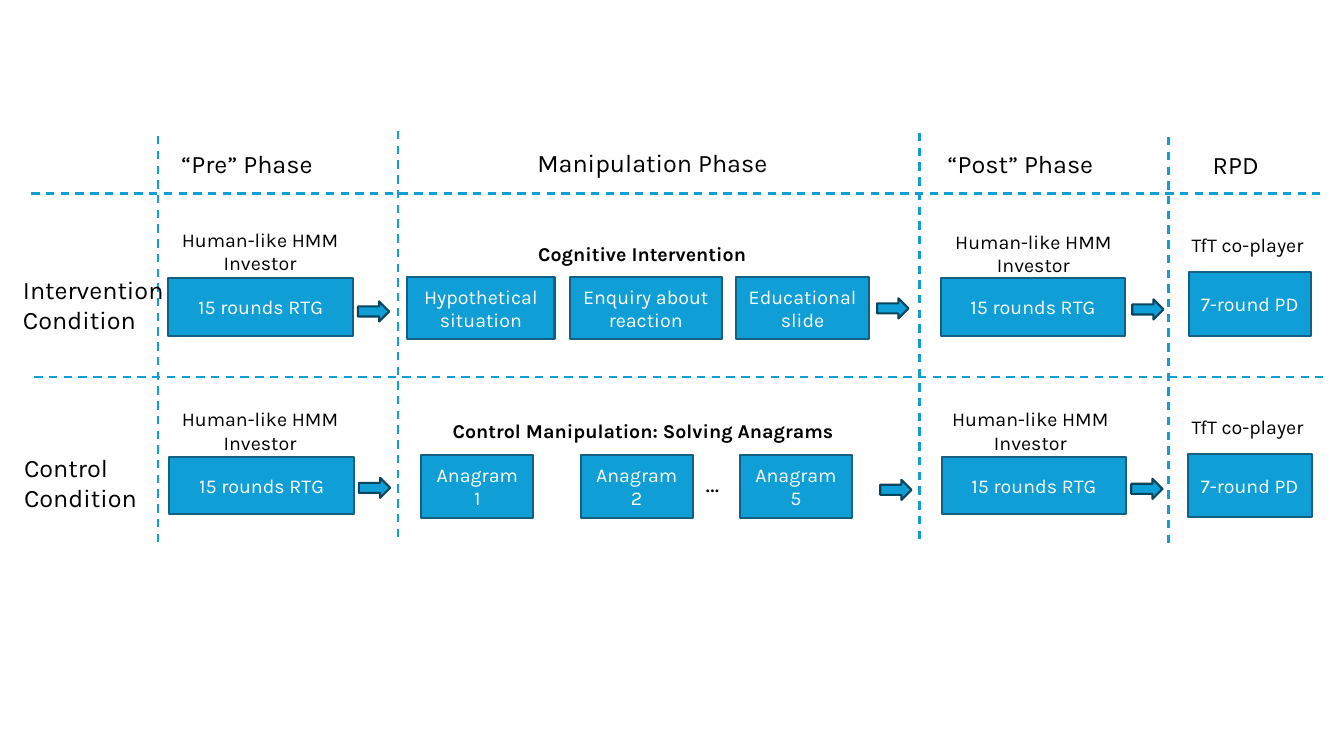
from pptx import Presentation
from pptx import util as u
from pptx.dml.color import RGBColor
from pptx.enum import dml, shapes, text
from pptx.oxml.ns import qn
from lxml import etree

FONT = "Karla"
BLUE, BOX_EDGE, ARROW_EDGE = "0F9ED5", "156082", "07455D"
BLACK, WHITE = "000000", "FFFFFF"
LEFT, CENTER = text.PP_ALIGN.LEFT, text.PP_ALIGN.CENTER


def color(value):
    return RGBColor.from_string(value)


def write(shape, words, size=14, fill=BLACK, bold=False, align=CENTER):
    shape.text_frame.word_wrap = True
    paragraph = shape.text_frame.paragraphs[0]
    paragraph.alignment = align
    run = paragraph.add_run()
    run.text = words
    run.font.name = FONT
    run.font.size = u.Pt(size)
    run.font.bold = bold
    run.font.color.rgb = color(fill)


def add_label(slide, words, left, top, width, height, **text_format):
    label = slide.shapes.add_textbox(*map(u.Inches, (left, top, width, height)))
    write(label, words, **text_format)
    label.text_frame.auto_size = text.MSO_AUTO_SIZE.SHAPE_TO_FIT_TEXT


def add_filled(slide, kind, edge, left, top, width, height):
    shape = slide.shapes.add_shape(kind, *map(u.Inches, (left, top, width, height)))
    shape.shadow.inherit = False
    shape.fill.solid()
    shape.fill.fore_color.rgb = color(BLUE)
    shape.line.color.rgb = color(edge)
    shape.line.width = u.Pt(1.5)
    return shape


def add_box(slide, words, left, top, width, height):
    box = add_filled(slide, shapes.MSO_SHAPE.RECTANGLE, BOX_EDGE, left, top, width, height)
    box.text_frame.vertical_anchor = text.MSO_ANCHOR.MIDDLE
    write(box, words, fill=WHITE)


def add_arrow(slide, left, top):
    add_filled(slide, shapes.MSO_SHAPE.RIGHT_ARROW, ARROW_EDGE, left, top, 0.31, 0.2)


def add_divider(slide, left, top, right, bottom):
    line = slide.shapes.add_connector(
        shapes.MSO_CONNECTOR.STRAIGHT, *map(u.Inches, (left, top, right, bottom)))
    line.line.color.rgb = color(BLUE)
    line.line.width = u.Pt(1.5)
    line.line.dash_style = dml.MSO_LINE.DASH
    etree.SubElement(line._element.spPr, qn("a:effectLst"))


def add_dividers(slide):
    for left, top in ((0.31, 1.92), (0.34, 3.74)):
        add_divider(slide, left, top, left + 12.78, top)
    for left, top, bottom in ((1.57, 1.35, 5.39), (3.95, 1.3, 5.33),
                              (9.12, 1.32, 5.35), (11.59, 1.36, 5.39)):
        add_divider(slide, left, top, left, bottom)


def add_phase_headings(slide):
    add_label(slide, "“Pre” Phase", 1.7, 1.42, 1.89, 0.4, size=18, align=LEFT)
    add_label(slide, "Manipulation Phase ", 4.49, 1.41, 4.02, 0.41, size=18)
    add_label(slide, "“Post” Phase", 9.3, 1.42, 1.89, 0.4, size=18, align=LEFT)
    add_label(slide, "RPD", 11.93, 1.43, 0.93, 0.4, size=18, align=LEFT)


def add_condition(slide, name, name_at, manipulation, manipulation_at, investors,
                  rounds_at, steps, steps_top, steps_height, game, player_top, arrows):
    add_label(slide, name, *name_at, 1.9, 0.71, size=18, align=LEFT)
    add_label(slide, manipulation, *manipulation_at, 4.26, 0.34, bold=True)
    for left, top in investors:
        add_label(slide, "Human-like HMM Investor", left, top, 1.84, 0.57)
    for left, top in rounds_at:
        add_box(slide, "15 rounds RTG", left, top, 1.83, 0.57)
    for words, left, width in steps:
        add_box(slide, words, left, steps_top, width, steps_height)
    add_label(slide, "TfT co-player", 11.72, player_top, 1.32, 0.34, align=LEFT)
    add_box(slide, "7-round PD", *game)
    for left, top in arrows:
        add_arrow(slide, left, top)


def main():
    presentation = Presentation()
    presentation.slide_width = u.Inches(13.33)
    presentation.slide_height = u.Inches(7.5)
    slide = presentation.slides.add_slide(presentation.slide_layouts[6])

    add_dividers(slide)
    add_phase_headings(slide)
    add_condition(
        slide, "Intervention Condition", (0.13, 2.67),
        "Cognitive Intervention", (4.24, 2.35),
        investors=((1.66, 2.21), (9.33, 2.23)),
        rounds_at=((1.67, 2.76), (9.33, 2.76)),
        steps=(("Hypothetical situation", 4.04, 1.46),
               ("Enquiry about reaction", 5.65, 1.51),
               ("Educational slide", 7.3, 1.32)),
        steps_top=2.75, steps_height=0.61,
        game=(11.79, 2.7, 1.21, 0.63), player_top=2.26,
        arrows=((3.55, 2.99), (8.7, 2.96), (11.23, 2.97)))
    add_condition(
        slide, "Control Condition", (0.14, 4.44),
        "Control Manipulation: Solving Anagrams", (4.25, 4.11),
        investors=((1.66, 3.99), (9.3, 3.99)),
        rounds_at=((1.68, 4.53), (9.34, 4.53)),
        steps=[(f"Anagram {number}", 4.18 + 1.58 * column, 1.11)
               for column, number in enumerate((1, 2, 5))],
        steps_top=4.51, steps_height=0.63,
        game=(11.78, 4.5, 1.23, 0.63), player_top=4.07,
        arrows=((3.56, 4.74), (8.73, 4.76), (11.22, 4.75)))
    add_label(slide, "…", 6.9, 4.59, 0.33, 0.4, size=18, align=LEFT)

    presentation.save("out.pptx")


if __name__ == "__main__":
    main()
